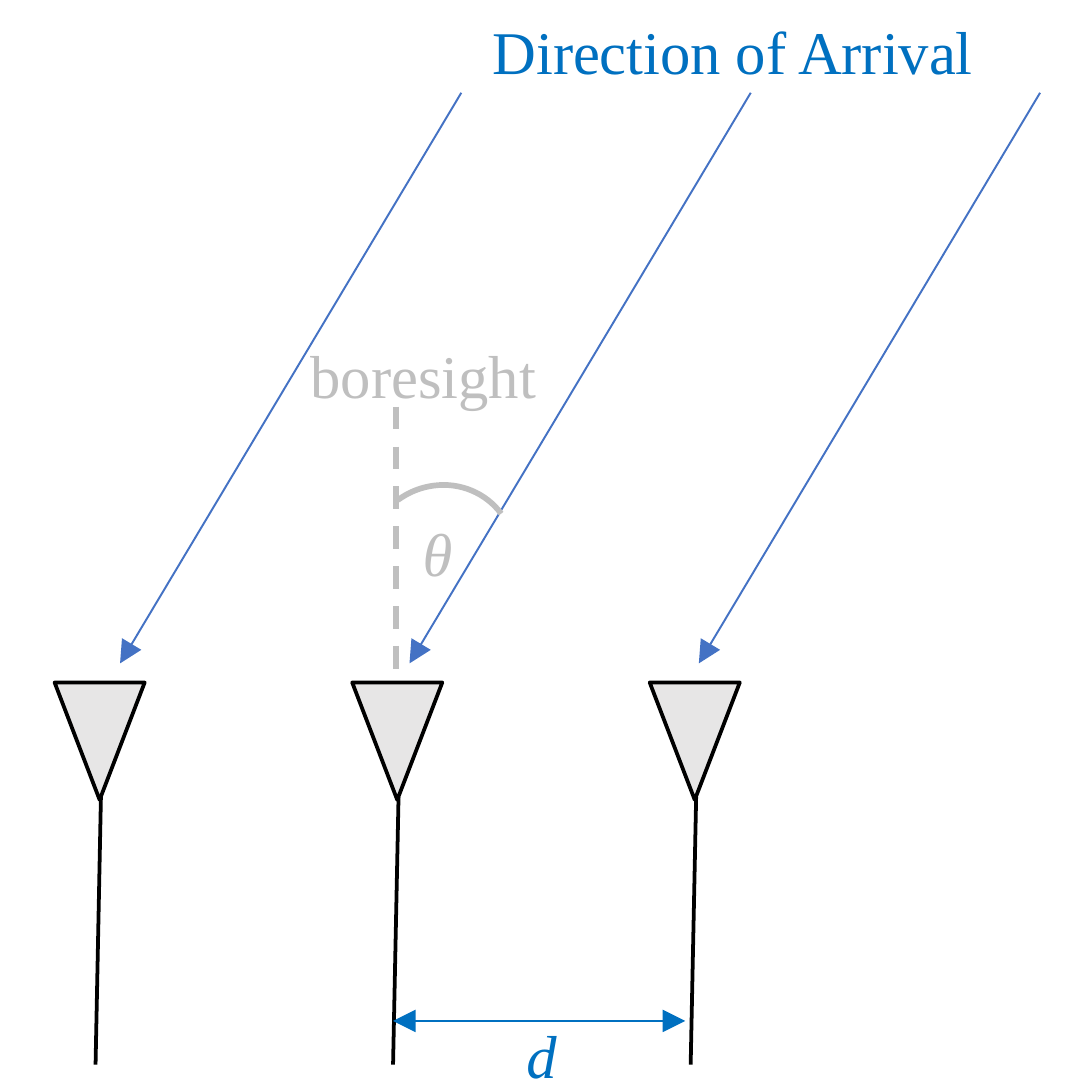
from lxml import etree
from pptx import Presentation
from pptx.dml.color import RGBColor
from pptx.enum.dml import MSO_LINE
from pptx.enum.shapes import MSO_CONNECTOR, MSO_SHAPE
from pptx.enum.text import MSO_ANCHOR, MSO_AUTO_SIZE, PP_ALIGN
from pptx.oxml.ns import qn
from pptx.util import Inches, Pt

STRAIGHT = MSO_CONNECTOR.STRAIGHT
CONE, ARC = MSO_SHAPE.ISOSCELES_TRIANGLE, MSO_SHAPE.ARC
DASH = MSO_LINE.DASH
TOP, CENTER, LEFT = MSO_ANCHOR.TOP, PP_ALIGN.CENTER, PP_ALIGN.LEFT
NO_FIT, GROW = MSO_AUTO_SIZE.NONE, MSO_AUTO_SIZE.SHAPE_TO_FIT_TEXT
BLACK, PALE, GRAY = "000000", "E7E6E6", "BFBFBF"
BLUE, RAY = "0070C0", "4472C4"


def color(code):
    return RGBColor.from_string(code)


class Sketch:
    font, size = "Times New Roman", Pt(16)

    def __init__(self, slide):
        self.slide = slide

    def stroke(self, line, tint, width):
        line.color.rgb = color(tint)
        line.width = Pt(width)

    def line(self, start, end, tint, width, dash=None, ends=()):
        item = self.slide.shapes.add_connector(
            STRAIGHT, *(Inches(v) for v in (*start, *end)))
        self.stroke(item.line, tint, width)
        if dash:
            item.line.dash_style = dash
        pen = item.line._get_or_add_ln()
        for end_tag in ends:
            etree.SubElement(pen, qn(end_tag)).set("type", "triangle")
        etree.SubElement(item._element.spPr, qn("a:effectLst"))

    def shape(self, kind, box, turn, tint, width, fill=None):
        item = self.slide.shapes.add_shape(kind, *(Inches(v) for v in box))
        item.rotation = turn
        item.shadow.inherit = False
        if fill:
            item.fill.solid()
            item.fill.fore_color.rgb = color(fill)
        else:
            item.fill.background()
        self.stroke(item.line, tint, width)

    def text(self, frame, words, tint, align, italic=False):
        frame.vertical_anchor = TOP
        para = frame.paragraphs[0]
        para.alignment = align
        para.line_spacing = 1.0
        run = para.add_run()
        run.text = words
        run.font.name, run.font.size = self.font, self.size
        run.font.italic = italic
        run.font.color.rgb = color(tint)

    def title(self, box, words, tint):
        item = self.slide.shapes.title
        item.left, item.top, item.width, item.height = map(Inches, box)
        item.text_frame.word_wrap = True
        item.text_frame.auto_size = NO_FIT
        self.text(item.text_frame, words, tint, CENTER)

    def label(self, box, words, tint, italic=False):
        frame = self.slide.shapes.add_textbox(*map(Inches, box)).text_frame
        frame.word_wrap = False
        frame.auto_size = GROW
        self.text(frame, words, tint, LEFT, italic)


def main():
    deck = Presentation()
    deck.slide_width = deck.slide_height = Inches(4)
    art = Sketch(deck.slides.add_slide(deck.slide_layouts[5]))
    art.title((1.44, 0, 2.49, 0.37), "Direction of Arrival", BLUE)

    # Antennas and incoming rays
    for n in range(3):
        mast = 0.37 + 1.09 * n
        art.shape(CONE, (mast - 0.17, 2.5, 0.33, 0.43), 180, BLACK, 1, PALE)
        art.line((mast, 2.92), (mast - 0.02, 3.9), BLACK, 1)
        tip = 0.44 + 1.06 * n
        art.line((tip + 1.25, 0.34), (tip, 2.43), RAY, 0.5,
                 ends=["a:tailEnd"])

    # Spacing between antennas
    art.line((1.44, 3.74), (2.51, 3.74), BLUE, 0.5,
             ends=["a:headEnd", "a:tailEnd"])
    art.label((1.83, 3.68, 0.31, 0.37), "d", BLUE, italic=True)

    # Boresight and arrival angle
    art.line((1.45, 1.49), (1.45, 2.49), GRAY, 1.5, DASH)
    art.label((1.45, 1.84, 0.31, 0.37), "θ", GRAY, italic=True)
    art.shape(ARC, (1.34, 1.78, 0.55, 0.53), 323.6, GRAY, 1.5)
    art.label((1.04, 1.19, 1.04, 0.37), "boresight", GRAY)

    deck.save("out.pptx")


if __name__ == "__main__":
    main()
